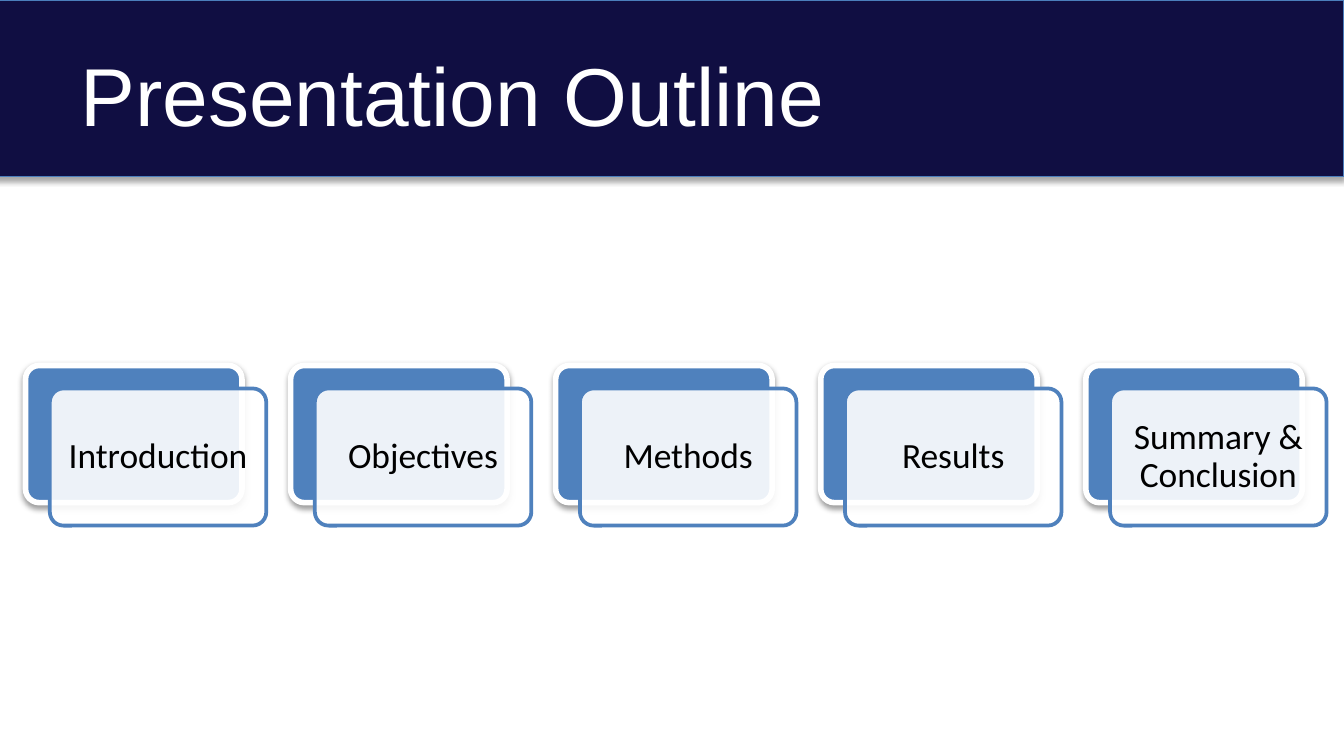
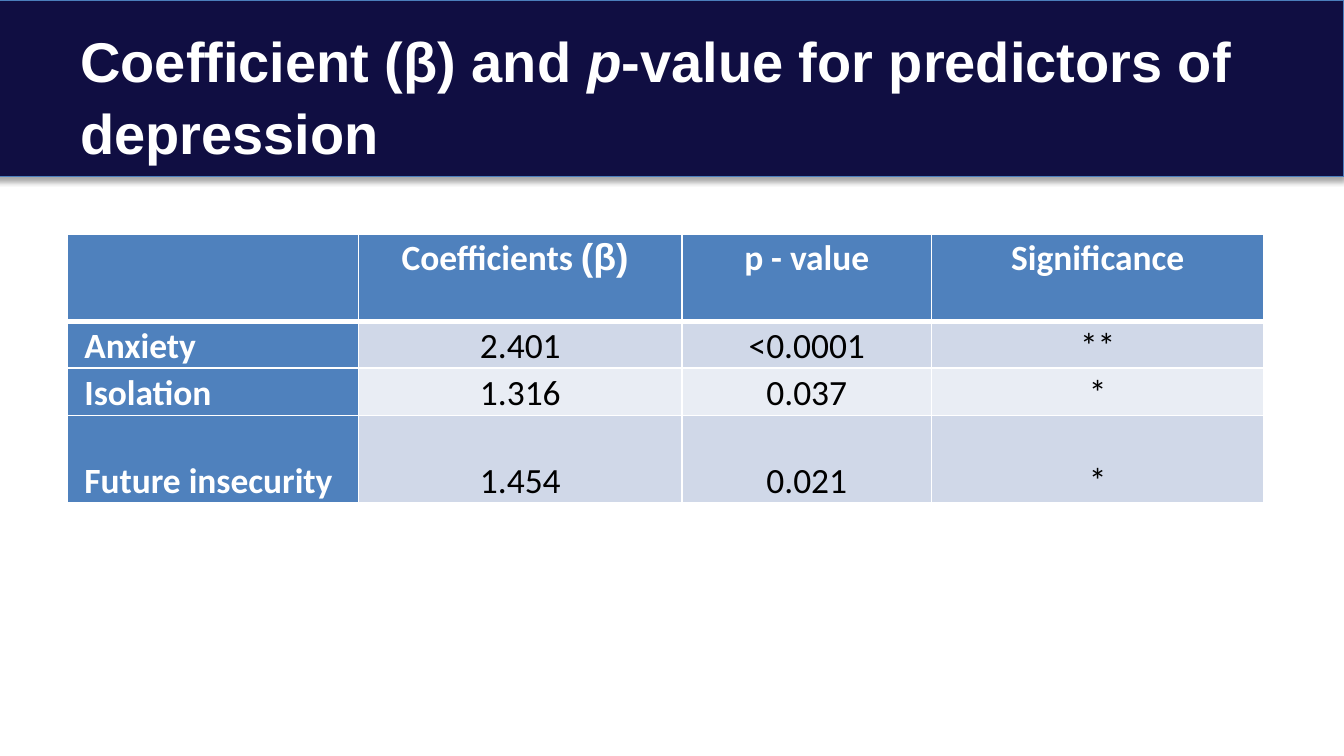
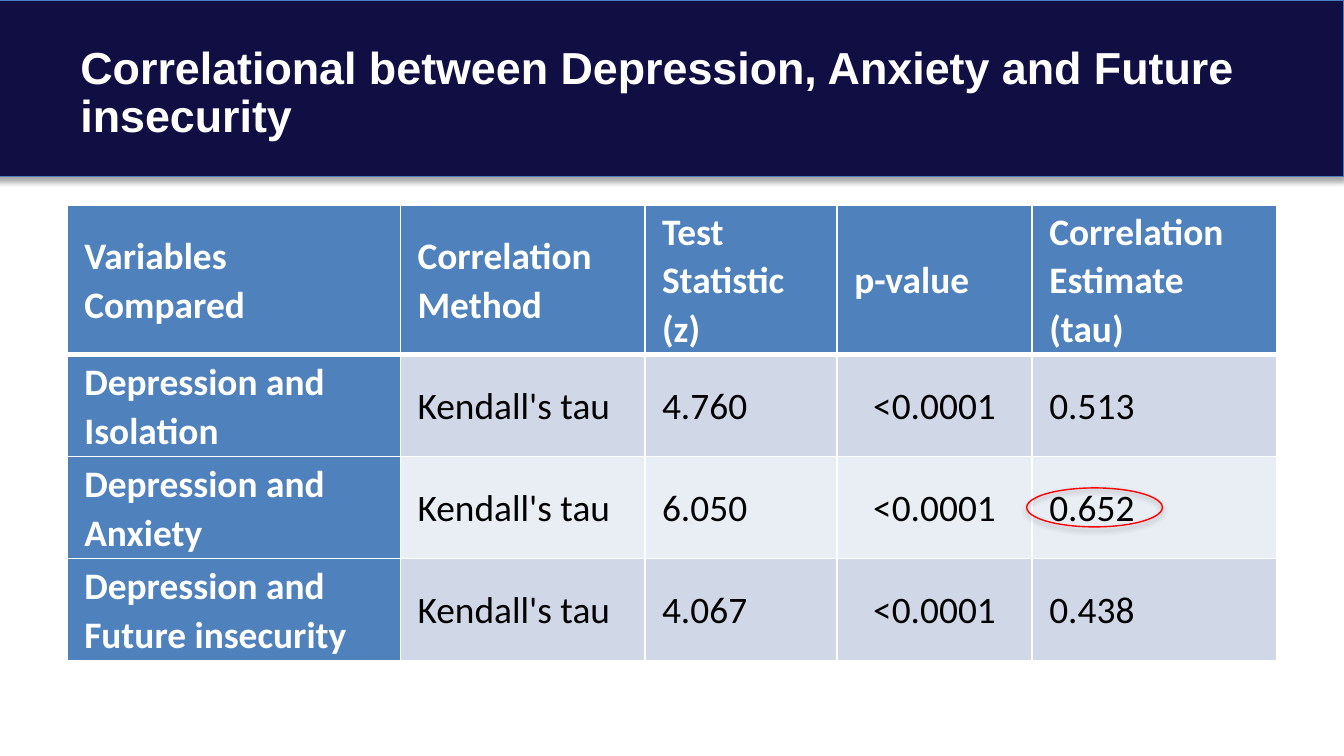
from lxml import etree
from pptx import Presentation
from pptx.dml.color import RGBColor
from pptx.enum import shapes, text
from pptx.oxml import ns
from pptx.util import Pt

# Shared look
NAVY, BLUE, WHITE, BLACK, RED = "100E42", "4F81BD", "FFFFFF", "000000", "FF0000"
BAND_EDGE = "4B7EBC"
STRIPES = ("D0D8E8", "E9EDF4")
LEFT, CENTER = text.PP_ALIGN.LEFT, text.PP_ALIGN.CENTER
TOP, MIDDLE, BOTTOM = (text.MSO_ANCHOR.TOP, text.MSO_ANCHOR.MIDDLE,
                       text.MSO_ANCHOR.BOTTOM)


def color(value):
    return RGBColor.from_string(value)


def set_values(target, values):
    for name, value in values.items():
        setattr(target, name, value)


def add_xml(parent, tag, **attributes):
    return etree.SubElement(parent, ns.qn(tag), attributes)


# Text
def write(frame, spans, paragraph, font):
    """Write one paragraph of (wording, font changes) spans."""
    para = frame.paragraphs[0]
    set_values(para, paragraph)
    for wording, changes in spans:
        span = para.add_run()
        span.text = wording
        values = {**font, **changes}
        span.font.color.rgb = color(values.pop("color"))
        set_values(span.font, values)


def set_margins(target, side, end):
    set_values(target, {"margin_left": Pt(side), "margin_right": Pt(side),
                        "margin_top": Pt(end), "margin_bottom": Pt(end)})


# Shapes
def add_box(page, kind, frame, fill, line, width, shadow=None, opacity=None):
    box = page.shapes.add_shape(kind, *map(Pt, frame))
    if fill:
        box.fill.solid()
        box.fill.fore_color.rgb = color(fill)
    else:
        box.fill.background()
    if opacity:
        tint = box.fill._xPr.find(".//" + ns.qn("a:srgbClr"))
        add_xml(tint, "a:alpha", val=str(opacity * 1000))
    box.line.color.rgb = color(line)
    box.line.width = Pt(width)
    box.shadow.inherit = False
    if shadow:
        add_shadow(box, *shadow)
    return box


def add_shadow(box, opacity, distance):
    effects = box._element.spPr.find(ns.qn("a:effectLst"))
    outer = add_xml(effects, "a:outerShdw", blurRad=str(Pt(3.1)),
                    dist=str(Pt(distance)), dir="5400000", rotWithShape="0")
    tint = add_xml(outer, "a:srgbClr", val=BLACK)
    add_xml(tint, "a:alpha", val=str(opacity * 1000))


def add_page(deck, spans, size, bold=True, **paragraph):
    """Add a page with the navy band and its title."""
    page = deck.slides.add_slide(deck.slide_layouts[6])
    add_box(page, shapes.MSO_SHAPE.RECTANGLE, (-3, 0, 723, 94.5), NAVY,
            BAND_EDGE, 0.75, shadow=(35, 1.8))
    box = page.shapes.add_textbox(Pt(36), Pt(16.5), Pt(648), Pt(67.5))
    set_values(box.text_frame, {"word_wrap": True, "vertical_anchor": MIDDLE})
    write(box.text_frame, spans, paragraph,
          {"name": "Arial", "size": Pt(size), "bold": bold, "color": WHITE})
    return page


def add_step(page, left, label):
    """Add a blue plate with a labelled white card over it."""
    rounded, top, size = shapes.MSO_SHAPE.ROUNDED_RECTANGLE, 195.8, (116, 73.5)
    plate = add_box(page, rounded, (left, top, *size), BLUE, WHITE, 3,
                    shadow=(38, 1.6))
    card = add_box(page, rounded, (left + 13, top + 12.3, *size), WHITE, BLUE,
                   2, opacity=90)
    for box in (plate, card):
        box.adjustments[0] = 0.1
    frame = card.text_frame
    set_values(frame, {"word_wrap": True, "vertical_anchor": MIDDLE})
    set_margins(frame, 8, 8)
    write(frame, [(label, {})],
          {"alignment": CENTER, "line_spacing": 0.9, "space_after": Pt(6.65)},
          {"name": "Calibri", "size": Pt(19), "color": BLACK})


# Tables
def add_borders(cell, widths):
    properties = cell._tc.get_or_add_tcPr()
    for side, width in widths.items():
        line = add_xml(properties, "a:ln" + side, w=str(Pt(width)))
        add_xml(add_xml(line, "a:solidFill"), "a:srgbClr", val=WHITE)


def add_table(page, top, widths, heights, rows, size, anchors, aligns):
    """Anchors and aligns each hold a header value and a body value."""
    table = page.shapes.add_table(len(rows), len(widths), Pt(36), Pt(top),
                                  Pt(sum(widths)), Pt(sum(heights))).table
    for column, width in zip(table.columns, widths):
        column.width = Pt(width)
    for r, (height, row) in enumerate(zip(heights, rows)):
        table.rows[r].height = Pt(height)
        body = int(r > 0)
        for c, content in enumerate(row):
            cell = table.cell(r, c)
            label = not body or c == 0
            add_borders(cell, {"L": 1, "R": 1, "T": 3 if r == 1 else 1,
                               "B": 1 if body else 3})
            cell.fill.solid()
            cell.fill.fore_color.rgb = color(
                BLUE if label else STRIPES[(r - 1) % 2])
            cell.vertical_anchor = anchors[body]
            set_margins(cell, 9.2, 0)
            if not content:
                continue
            spans = [(content, {})] if isinstance(content, str) else content
            write(cell.text_frame, spans,
                  {"alignment": aligns[body][c], "line_spacing": 1.07,
                   "space_after": Pt(8)},
                  {"name": "Calibri", "size": Pt(size), "bold": label,
                   "color": WHITE if label else BLACK})


# Pages
def outline_page(deck):
    page = add_page(deck, [("Presentation Outline", {})], 44, bold=False)
    steps = ("Introduction", "Objectives", "Methods", "Results",
             "Summary & Conclusion")
    for index, label in enumerate(steps):
        add_step(page, 13.7 + 142 * index, label)


def coefficient_page(deck):
    page = add_page(deck, [("Coefficient (β) and ", {}), ("p", {"italic": True}),
                           ("-value for predictors of depression", {})],
                    30, line_spacing=1.07, space_after=Pt(8))
    rows = [
        ("", [("Coefficients ", {}), ("(β) ", {"name": "Arial", "size": Pt(20)})],
         "p - value", "Significance"),
        ("Anxiety", "2.401", "<0.0001", "**"),
        ("Isolation", "1.316", "0.037", "*"),
        ("Future insecurity", "1.454", "0.021", "*"),
    ]
    aligns = [LEFT] + [CENTER] * 3
    add_table(page, 125.3, (156, 173.5, 133.5, 178.2), (46.8, 25.2, 25.2, 46.8),
              rows, 19, (TOP, BOTTOM), (aligns, aligns))


def correlation_page(deck):
    title = "Correlational between Depression, Anxiety and Future insecurity"
    page = add_page(deck, [(title, {})], 24, line_spacing=0.9,
                    space_after=Pt(8))
    method, chance = "Kendall's tau", "<0.0001"
    rows = [
        ("Variables Compared", "Correlation Method", "Test Statistic (z)",
         "p-value", "Correlation Estimate (tau)"),
        ("Depression and Isolation", method, "4.760", chance, "0.513"),
        ("Depression and Anxiety", method, "6.050", chance, "0.652"),
        ("Depression and Future insecurity", method, "4.067", chance, "0.438"),
    ]
    add_table(page, 109.8, (178.5, 131, 103, 104.5, 131), [80] + [54.7] * 3,
              rows, 20, (MIDDLE, MIDDLE),
              ([LEFT] * 5, [LEFT, LEFT, LEFT, CENTER, LEFT]))
    # Ring around the strongest correlation
    add_box(page, shapes.MSO_SHAPE.OVAL, (550, 261.4, 72.7, 20.9), None, RED,
            0.75, shadow=(35, 1.8))


def main():
    deck = Presentation()
    set_values(deck, {"slide_width": Pt(720), "slide_height": Pt(405)})
    outline_page(deck)
    coefficient_page(deck)
    correlation_page(deck)
    deck.save("out.pptx")


if __name__ == "__main__":
    main()
